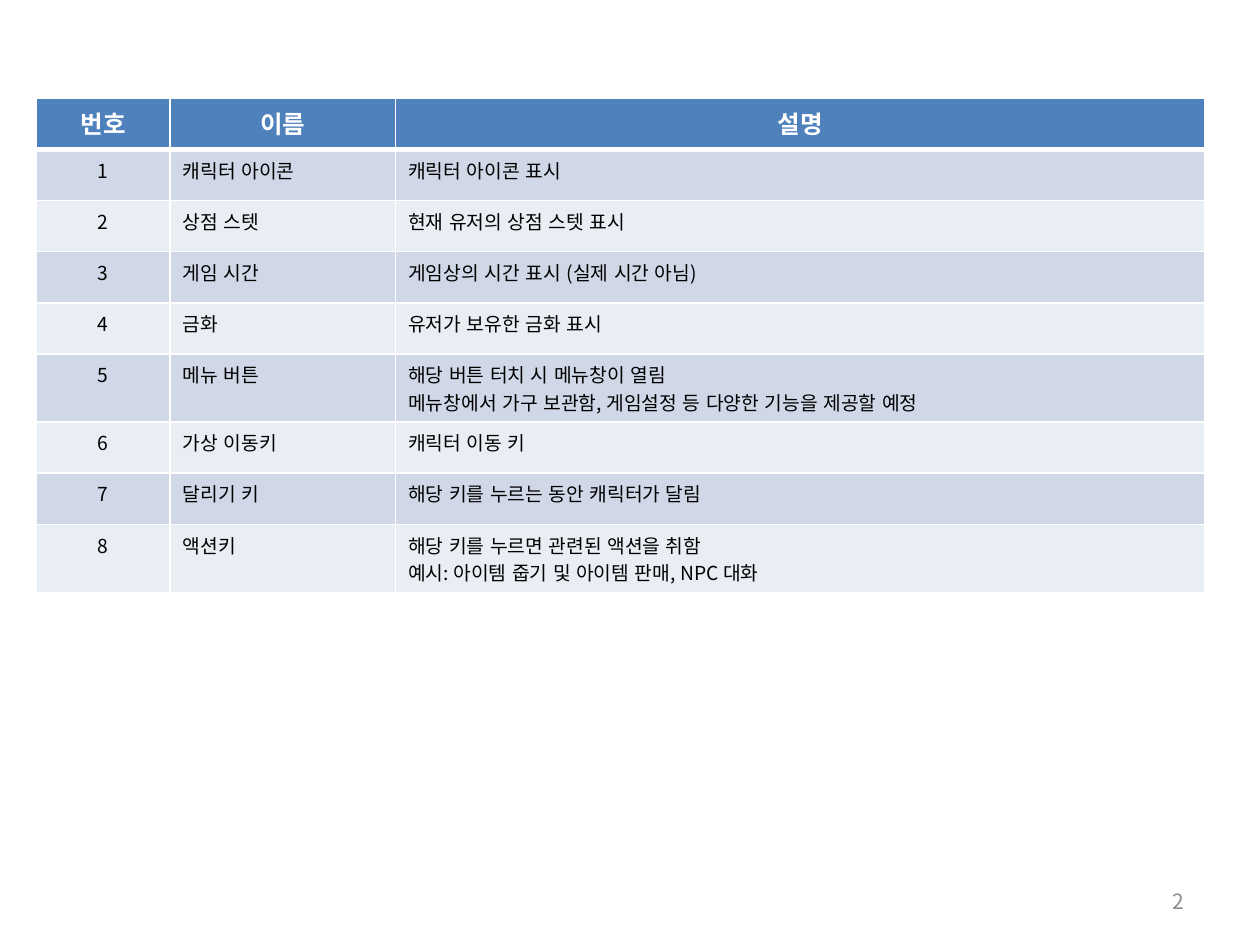
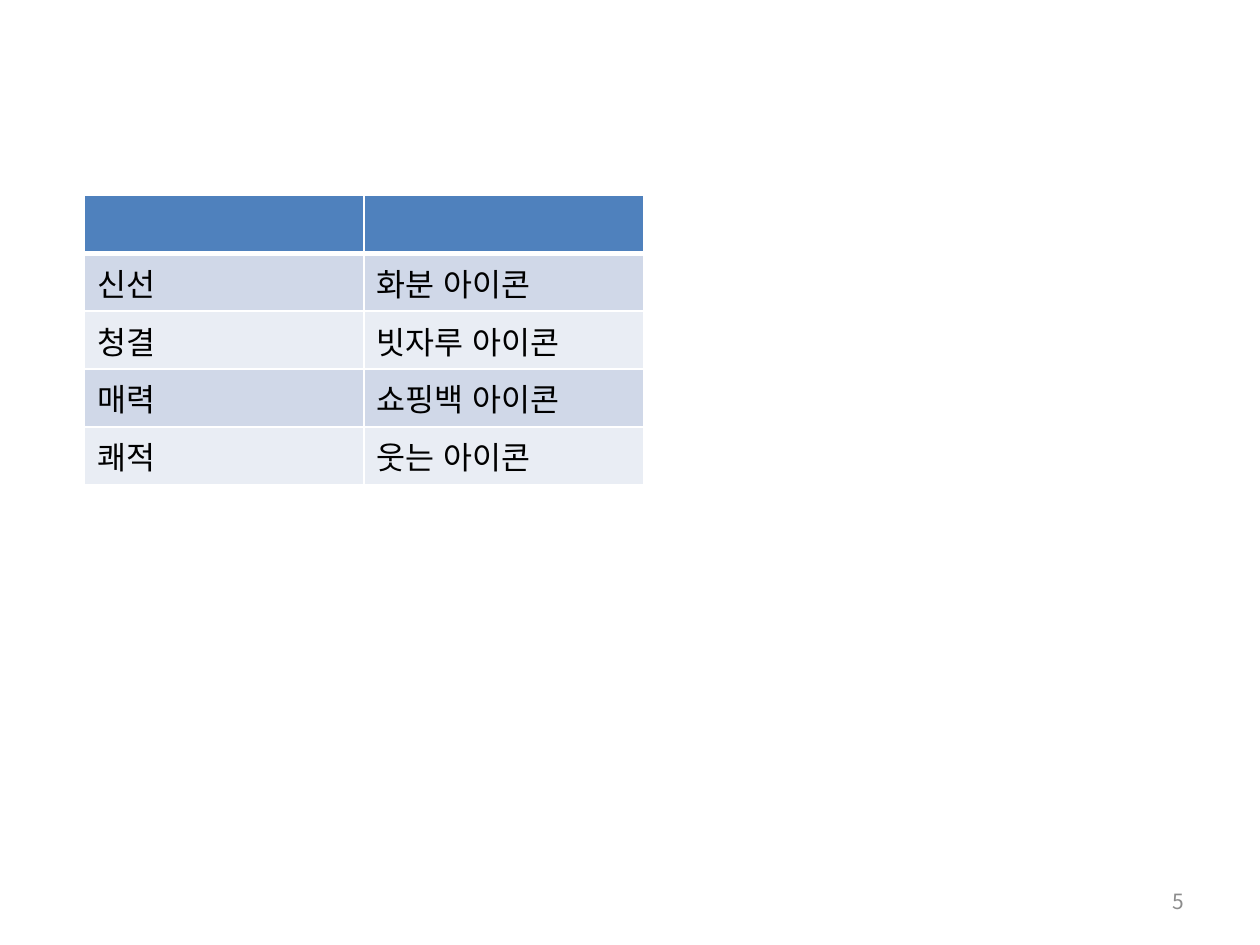
import pptx
import pptx.util
import pptx.dml.color
import pptx.enum.lang
import pptx.enum.text
from dataclasses import dataclass
from lxml import etree
from pptx.oxml.ns import qn

Inches = pptx.util.Inches
ALIGN = pptx.enum.text.PP_ALIGN
ANCHOR = pptx.enum.text.MSO_ANCHOR
KOREAN = pptx.enum.lang.MSO_LANGUAGE_ID.KOREAN


@dataclass(frozen=True)
class Theme:
    font: str = "Noto Sans CJK KR"
    header: str = "4F81BD"
    bands: tuple = ("D0D8E8", "E9EDF4")
    white: str = "FFFFFF"
    text: str = "000000"
    muted: str = "8C8C8C"
    header_size: int = 14
    body_size: int = 11
    large_size: int = 18
    number_size: int = 12
    rule: int = 1
    header_rule: int = 3


T = Theme()


def rgb(value):
    return pptx.dml.color.RGBColor.from_string(value)


def write(tf, text, size=T.body_size, color=T.text, bold=False, align=ALIGN.LEFT):
    """Write one paragraph per line; an empty line still keeps its text size."""
    for i, line in enumerate(text.split("\n")):
        p = tf.paragraphs[0] if i == 0 else tf.add_paragraph()
        p.alignment = align
        if line:
            r = p.add_run()
            r.text = line
            r.font.size = pptx.util.Pt(size)
            r.font.bold = bold
            r.font.name = T.font
            r.font.language_id = KOREAN
            r.font.color.rgb = rgb(color)
            props = r.font._element
        else:
            props = etree.SubElement(p._p, qn("a:endParaRPr"), sz=str(size * 100))
            etree.SubElement(props, qn("a:latin"), typeface=T.font)
        etree.SubElement(props, qn("a:ea"), typeface=T.font)


def set_borders(cell, top, bottom):
    """Draw white cell borders; widths are in points."""
    props = cell._tc.get_or_add_tcPr()
    widths = {"a:lnL": T.rule, "a:lnR": T.rule, "a:lnT": top, "a:lnB": bottom}
    for i, (tag, width) in enumerate(widths.items()):
        ln = etree.Element(qn(tag), w=str(pptx.util.Pt(width)))
        fill = etree.SubElement(ln, qn("a:solidFill"))
        etree.SubElement(fill, qn("a:srgbClr"), val=T.white)
        props.insert(i, ln)


def add_banded_table(s, left, top, widths, rows, size, row_height,
                     tall_height=0, centered=()):
    """Table with a header row and alternating bands; two-line rows are taller."""
    heights = [tall_height if any("\n" in v for v in values) else row_height
               for values in rows]
    table = s.shapes.add_table(
        len(rows), len(widths), Inches(left), Inches(top),
        Inches(sum(widths)), Inches(sum(heights))).table
    table.horz_banding = False
    for column, width in zip(table.columns, widths):
        column.width = Inches(width)
    for i, values in enumerate(rows):
        table.rows[i].height = Inches(heights[i])
        head = i == 0
        for j, value in enumerate(values):
            cell = table.cell(i, j)
            cell.fill.solid()
            cell.fill.fore_color.rgb = rgb(T.header if head else T.bands[(i - 1) % 2])
            set_borders(cell, T.header_rule if i == 1 else T.rule,
                        T.header_rule if head else T.rule)
            write(cell.text_frame, value,
                  size=T.header_size if head and value else size,
                  color=T.white if head else T.text, bold=head,
                  align=ALIGN.CENTER if head or j in centered else ALIGN.LEFT)


def add_page_number(s, number, left=7.17, top=6.95, width=2.33, height=0.4):
    tf = s.shapes.add_textbox(Inches(left), Inches(top),
                              Inches(width), Inches(height)).text_frame
    tf.word_wrap = True
    tf.vertical_anchor = ANCHOR.MIDDLE
    write(tf, str(number), size=T.number_size, color=T.muted, align=ALIGN.RIGHT)


def add_table_slide(prs, number, **table):
    s = prs.slides.add_slide(prs.slide_layouts[6])
    add_page_number(s, number)
    add_banded_table(s, **table)


# Screen elements: name and description, numbered in order
ELEMENTS = [
    ("캐릭터 아이콘", "캐릭터 아이콘 표시"),
    ("상점 스텟", "현재 유저의 상점 스텟 표시"),
    ("게임 시간", "게임상의 시간 표시 (실제 시간 아님)"),
    ("금화", "유저가 보유한 금화 표시"),
    ("메뉴 버튼", "해당 버튼 터치 시 메뉴창이 열림\n"
     "메뉴창에서 가구 보관함, 게임설정 등 다양한 기능을 제공할 예정"),
    ("가상 이동키", "캐릭터 이동 키"),
    ("달리기 키", "해당 키를 누르는 동안 캐릭터가 달림"),
    ("액션키", "해당 키를 누르면 관련된 액션을 취함\n"
     "예시: 아이템 줍기 및 아이템 판매, NPC 대화"),
]

# Shop stats and their icons
STAT_ICONS = [
    ("신선", "화분 아이콘"),
    ("청결", "빗자루 아이콘"),
    ("매력", "쇼핑백 아이콘"),
    ("쾌적", "웃는 아이콘"),
]

prs = pptx.Presentation()
prs.slide_width, prs.slide_height = Inches(10), Inches(7.5)

add_table_slide(
    prs, 2, left=0.29, top=0.78, widths=(1.06, 1.79, 6.42), size=T.body_size,
    rows=[("번호", "이름", "설명")]
    + [(str(n), *element) for n, element in enumerate(ELEMENTS, 1)],
    row_height=2.03 / 5, tall_height=0.54, centered=(0,))
add_table_slide(
    prs, 5, left=0.67, top=1.55, widths=(2.22, 2.22), size=T.large_size,
    rows=[("", "")] + STAT_ICONS, row_height=0.46)

prs.save("out.pptx")
